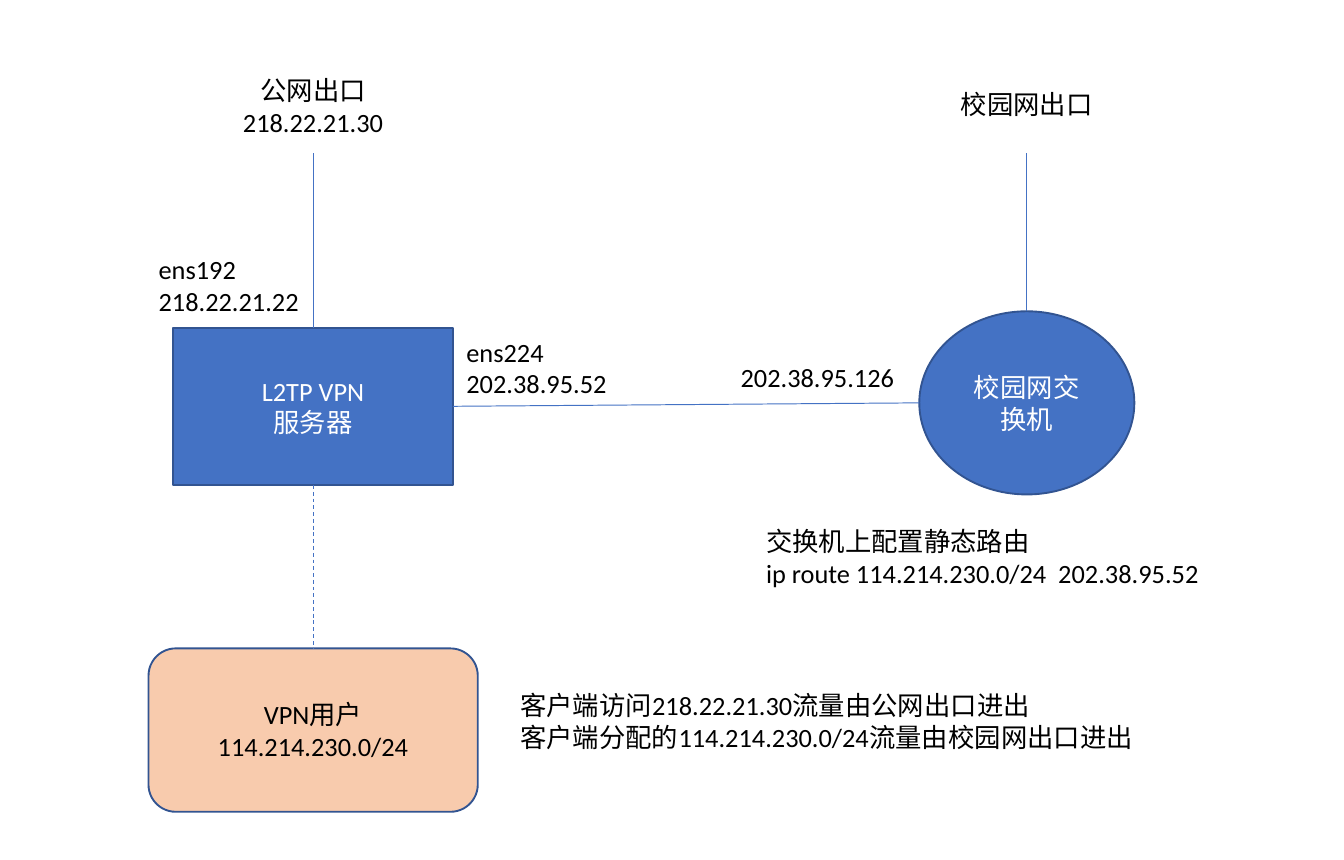
from lxml import etree
from pptx import Presentation, util as u
from pptx.dml.color import RGBColor
from pptx.enum import dml, shapes, text
from pptx.oxml.ns import qn

WIDTH, HEIGHT = u.Inches(9.84), u.Inches(6.3)
COLORS = {"blue": "4472C4", "edge": "325491", "peach": "F8CBAD",
          "white": "FFFFFF", "black": "000000"}

# Percent of the slide's width: the two vertical axes of the network
PUBLIC_X, CAMPUS_X = 23.3, 76.4
LABEL_WIDTH = 17.4
# Percent of the slide's height
EXIT_LINK_TOP = 17.8
LINE_HEIGHT, LABEL_PADDING = 3.7, 1.6


def color(name):
    return RGBColor.from_string(COLORS[name])


def across(percent):
    return round(WIDTH * percent / 100)


def down(percent):
    return round(HEIGHT * percent / 100)


def write(frame, lines, ink, align):
    frame.word_wrap = True
    frame.text = "\n".join(lines)
    for para in frame.paragraphs:
        para.alignment = align
        para.font.name = "Calibri"
        para.font.size = u.Pt(13.9)
        para.font.color.rgb = color(ink)


def add_node(page, kind, center, top, width, height, lines, fill="blue", ink="white"):
    """Add a filled network node, centred on a vertical axis."""
    node = page.shapes.add_shape(kind, across(center - width / 2), down(top),
                                 across(width), down(height))
    node.shadow.inherit = False
    node.fill.solid()
    node.fill.fore_color.rgb = color(fill)
    node.line.color.rgb = color("edge")
    node.line.width = u.Pt(1)
    node.text_frame.vertical_anchor = text.MSO_ANCHOR.MIDDLE
    write(node.text_frame, lines, ink, text.PP_ALIGN.CENTER)
    return node


def add_label(page, left, top, lines, width=LABEL_WIDTH, align=text.PP_ALIGN.LEFT):
    height = LABEL_PADDING + LINE_HEIGHT * len(lines)
    box = page.shapes.add_textbox(across(left), down(top), across(width), down(height))
    write(box.text_frame, lines, "black", align)
    box.text_frame.auto_size = text.MSO_AUTO_SIZE.SHAPE_TO_FIT_TEXT


def add_exit(page, center, top, lines, node):
    """Add a centred exit label and the link from it down to its node."""
    add_label(page, center - LABEL_WIDTH / 2, top, lines, align=text.PP_ALIGN.CENTER)
    link = add_link(page, across(center), down(EXIT_LINK_TOP))
    link.end_connect(node, 0)


def add_link(page, x, y):
    """Add a thin link starting at x, y; the caller joins its ends."""
    link = page.shapes.add_connector(shapes.MSO_CONNECTOR.STRAIGHT, x, y, x, y)
    link.line.color.rgb = color("blue")
    link.line.width = u.Pt(0.5)
    etree.SubElement(link._element.spPr, qn("a:effectLst"))
    return link


def main():
    deck = Presentation()
    deck.slide_width, deck.slide_height = WIDTH, HEIGHT
    page = deck.slides.add_slide(deck.slide_layouts[6])

    kinds = shapes.MSO_SHAPE
    switch = add_node(page, kinds.OVAL, CAMPUS_X, 36.2, 16, 21.3, ["校园网交换机"])
    server = add_node(page, kinds.RECTANGLE, PUBLIC_X, 38.1, 20.8, 18.3,
                      ["L2TP VPN", "服务器"])
    users = add_node(page, kinds.ROUNDED_RECTANGLE, PUBLIC_X, 75.4, 24.5, 19,
                     ["VPN用户", "114.214.230.0/24"], "peach", "black")

    add_exit(page, PUBLIC_X, 7.9, ["公网出口", "218.22.21.30"], server)
    add_exit(page, CAMPUS_X, 9.5, ["校园网出口"], switch)

    campus_link = add_link(page, switch.left, switch.top + switch.height // 2)
    campus_link.end_connect(server, 3)
    user_link = add_link(page, server.left, server.top)
    user_link.begin_connect(server, 2)
    user_link.end_connect(users, 0)
    user_link.line.dash_style = dml.MSO_LINE.DASH

    add_label(page, 10.8, 28.7, ["ens192", "218.22.21.22"])
    add_label(page, 33.7, 38.3, ["ens224", "202.38.95.52"])
    add_label(page, 54.1, 41.2, ["202.38.95.126"])
    add_label(page, 56, 60.3, ["交换机上配置静态路由",
                               "ip route 114.214.230.0/24  202.38.95.52"], 34.9)
    add_label(page, 37.7, 79.4, ["客户端访问218.22.21.30流量由公网出口进出",
                                 "客户端分配的114.214.230.0/24流量由校园网出口进出"], 60)

    deck.save("out.pptx")


if __name__ == "__main__":
    main()
